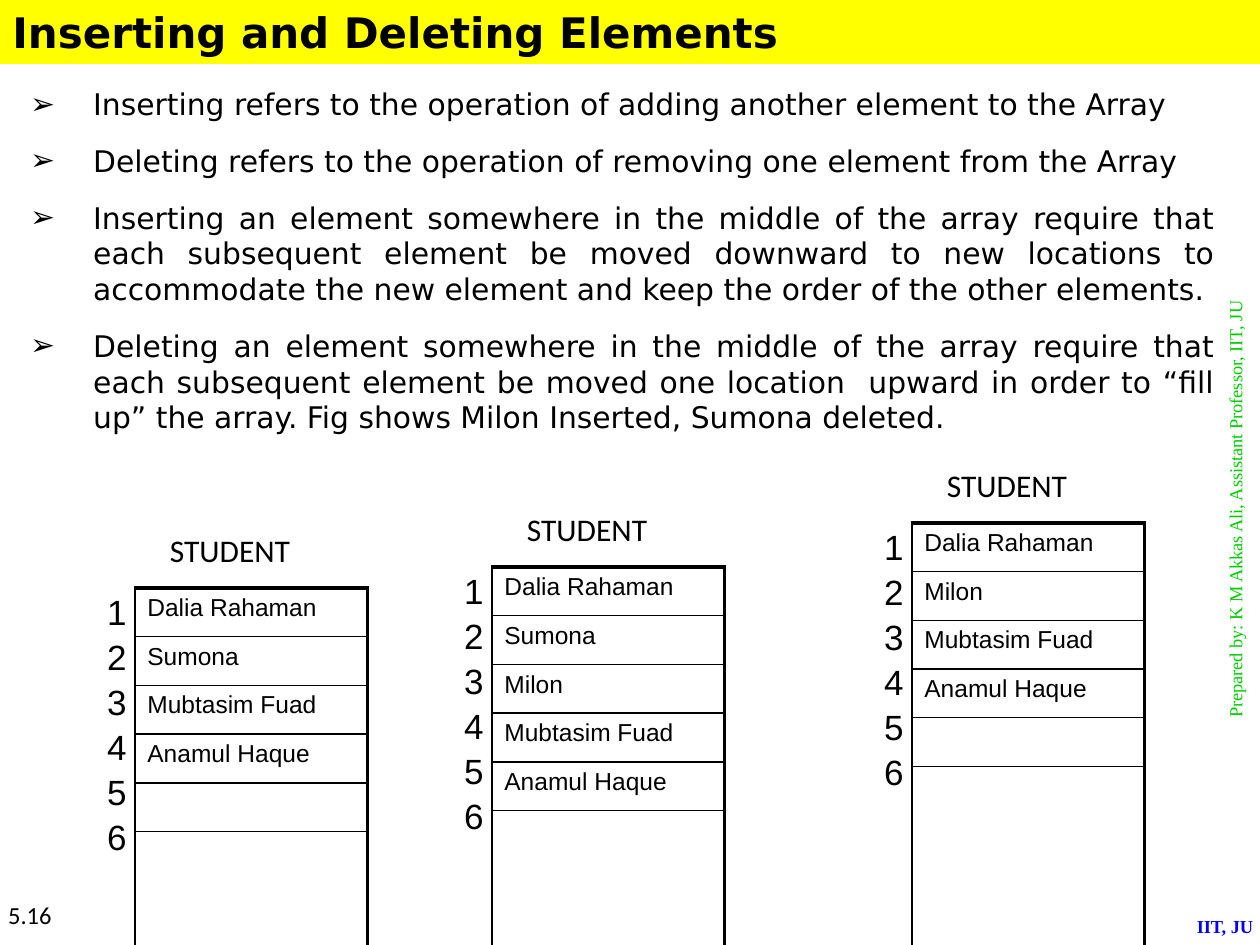
import pptx
import pptx.util
import pptx.dml.color
import pptx.enum.shapes
import pptx.enum.text
import pptx.oxml.ns
import lxml.etree

COLS, ROWS = 120, 90
ALIGN = pptx.enum.text.PP_ALIGN
THEME = {
    "band": "FFFF00",
    "line": "000000",
    "thin": 1,
    "thick": 2.25,
    "title": {"name": "DejaVu Sans", "size": 24, "bold": True, "color": "000000"},
    "body": {"name": "DejaVu Sans", "size": 17, "color": "000000"},
    "index": {"name": "Arial", "size": 20, "color": "000000"},
    "cell": {"name": "Arial", "size": 14, "color": "000000"},
    "label": {"name": "Calibri", "size": 18, "color": "000000"},
    "page": {"name": "Calibri", "size": 14, "color": "000000"},
    "author": {"name": "Times New Roman", "size": 10.5, "color": "00CC00"},
    "school": {"name": "Times New Roman", "size": 10.5, "bold": True, "color": "0000FF"},
}
POINTS = [
    "Inserting refers to the operation of adding another element to the Array",
    "Deleting refers to the operation of removing one element from the Array",
    "Inserting an element somewhere in the middle of the array require that each "
    "subsequent element be moved downward to new locations to accommodate the new "
    "element and keep the order of the other elements.",
    "Deleting an element somewhere in the middle of the array require that each "
    "subsequent element be moved one location  upward in order to “fill up” the "
    "array. Fig shows Milon Inserted, Sumona deleted.",
]
LISTS = [
    ((9, 50, 28, 35.2), ["Dalia Rahaman", "Sumona", "Mubtasim Fuad", "Anamul Haque", "", ""]),
    ((43, 48, 28, 35.2), ["Dalia Rahaman", "Sumona", "Milon", "Mubtasim Fuad", "Anamul Haque", ""]),
    ((83, 43.8, 28, 35.2), ["Dalia Rahaman", "Milon", "Mubtasim Fuad", "Anamul Haque", "", ""]),
]


def unit(count):
    """Turn grid units into a length."""
    return pptx.util.Inches(count * 10 / COLS)


def place(box):
    """Turn a grid box into four lengths."""
    return [unit(side) for side in box]


def tint(code):
    """Make a colour from its code."""
    return pptx.dml.color.RGBColor.from_string(code)


def node(root, tag, **attrs):
    """Add a drawing element below the root."""
    return lxml.etree.SubElement(root, pptx.oxml.ns.qn("a:" + tag), attrs)


def style(font, form):
    """Set the font from its format values."""
    for key, val in form.items():
        if key == "color":
            font.color.rgb = tint(val)
        else:
            setattr(font, key, pptx.util.Pt(val) if key == "size" else val)


def write(frame, lines, form, gap=0, after=0, align=None, mark=None):
    """Fill a text frame with one paragraph per line."""
    frame.word_wrap = True
    for num, line in enumerate(lines):
        para = frame.paragraphs[0] if num == 0 else frame.add_paragraph()
        if mark:
            props = para._p.get_or_add_pPr()
            props.set("marL", str(unit(6)))
            props.set("indent", str(-unit(6)))
            node(props, "buFont", typeface=form["name"])
            node(props, "buChar", char=mark)
        look = {"alignment": align, "space_after": pptx.util.Pt(after)}
        if num:
            look["space_before"] = pptx.util.Pt(gap)
        for key, val in look.items():
            setattr(para, key, val)
        if line:
            run = para.add_run()
            run.text = line
            style(run.font, form)
        else:
            node(para._p, "endParaRPr", sz=str(form["size"] * 100))


def note(slide, box, lines, kind, **opts):
    """Place a text box in the theme style named by kind."""
    frame = slide.shapes.add_textbox(*place(box)).text_frame
    write(frame, lines, THEME[kind], **opts)
    return frame


def head(slide, box, text):
    """Place the title band."""
    band = slide.shapes.add_shape(pptx.enum.shapes.MSO_SHAPE.RECTANGLE, *place(box))
    band.shadow.inherit = False
    band.fill.solid()
    band.fill.fore_color.rgb = tint(THEME["band"])
    band.line.fill.background()
    band.text_frame.vertical_anchor = pptx.enum.text.MSO_ANCHOR.MIDDLE
    write(band.text_frame, [text], THEME["title"], align=ALIGN.LEFT)


def edge(cell, sides):
    """Draw the given cell sides, clear the others and the fill."""
    props = cell._tc.get_or_add_tcPr()
    for side in "LRTB":
        width = sides.get(side, 0)
        line = node(props, "ln" + side, w=str(pptx.util.Pt(width)))
        if width:
            node(node(line, "solidFill"), "srgbClr", val=THEME["line"])
        else:
            node(line, "noFill")
    cell.fill.background()


def array(slide, box, names):
    """Place a captioned array with its index column."""
    left, top, wide, high = box
    count, thin, thick = len(names), THEME["thin"], THEME["thick"]
    area = place((left, top + 6, wide - 2, high - 6))
    grid = slide.shapes.add_table(count, 2, *area).table
    for key in ("first_row", "horz_banding"):
        setattr(grid, key, False)
    for col, size in zip(grid.columns, (3.84, wide - 5.84)):
        col.width = unit(size)
    for num, name in enumerate(names):
        grid.rows[num].height = unit(4.64)
        edge(grid.cell(num, 0), {"R": thin})
        cell = grid.cell(num, 1)
        edge(cell, {
            "L": thin,
            "R": thick,
            "T": thin if num else thick,
            "B": thin if num < count - 1 else thick,
        })
        write(cell.text_frame, [name], THEME["cell"])
    first = grid.cell(0, 0)
    first.merge(grid.cell(count - 1, 0))
    digits = [str(num + 1) for num in range(count)]
    write(first.text_frame, digits, THEME["index"], gap=3.4)
    note(slide, (left + 6, top, wide - 6, 4.8), ["STUDENT"], "label")


def side(slide, box, text):
    """Place the upright author line."""
    frame = note(slide, box, [text], "author", align=ALIGN.CENTER)
    frame._txBody.bodyPr.set("vert", "vert270")


def main():
    """Build the slide and save it."""
    deck = pptx.Presentation()
    deck.slide_width, deck.slide_height = unit(COLS), unit(ROWS)
    slide = deck.slides.add_slide(deck.slide_layouts[6])
    side(slide, (116, 7, 4.6, 83), "Prepared by: K M Akkas Ali, Assistant Professor, IIT, JU")
    note(slide, (112.8, 86.6, 11, 3.4), ["IIT, JU"], "school")
    note(slide, (1.7, 7.6, 115.2, 40.2), POINTS, "body",
         gap=6, after=6, align=ALIGN.JUSTIFY, mark="➢")
    for box, names in LISTS:
        array(slide, box, names)
    head(slide, (0, 0, COLS, 6.1), "Inserting and Deleting Elements")
    note(slide, (-0.4, 85.1, 9.8, 4.9), ["5.16"], "page")
    deck.save("out.pptx")


if __name__ == "__main__":
    main()
